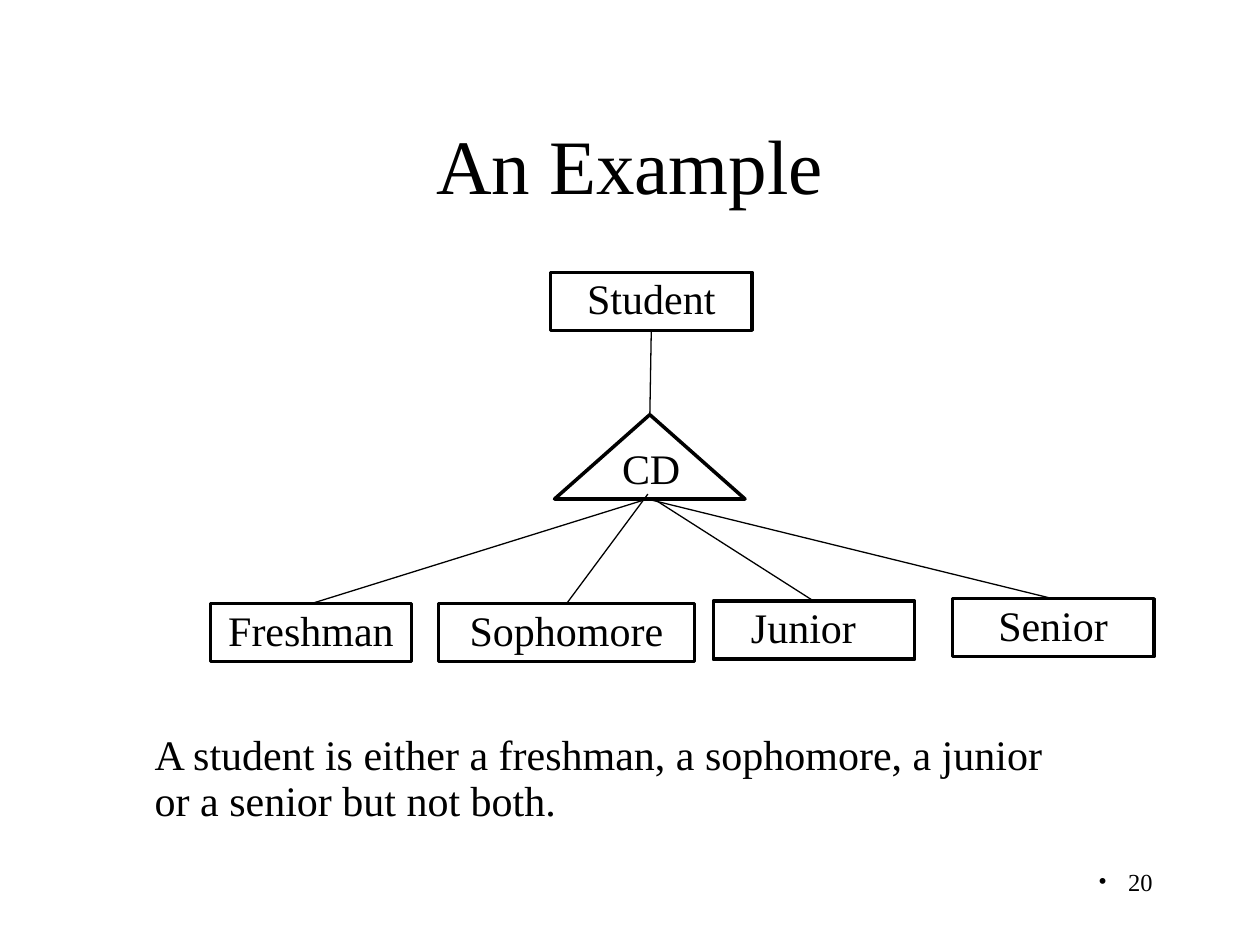
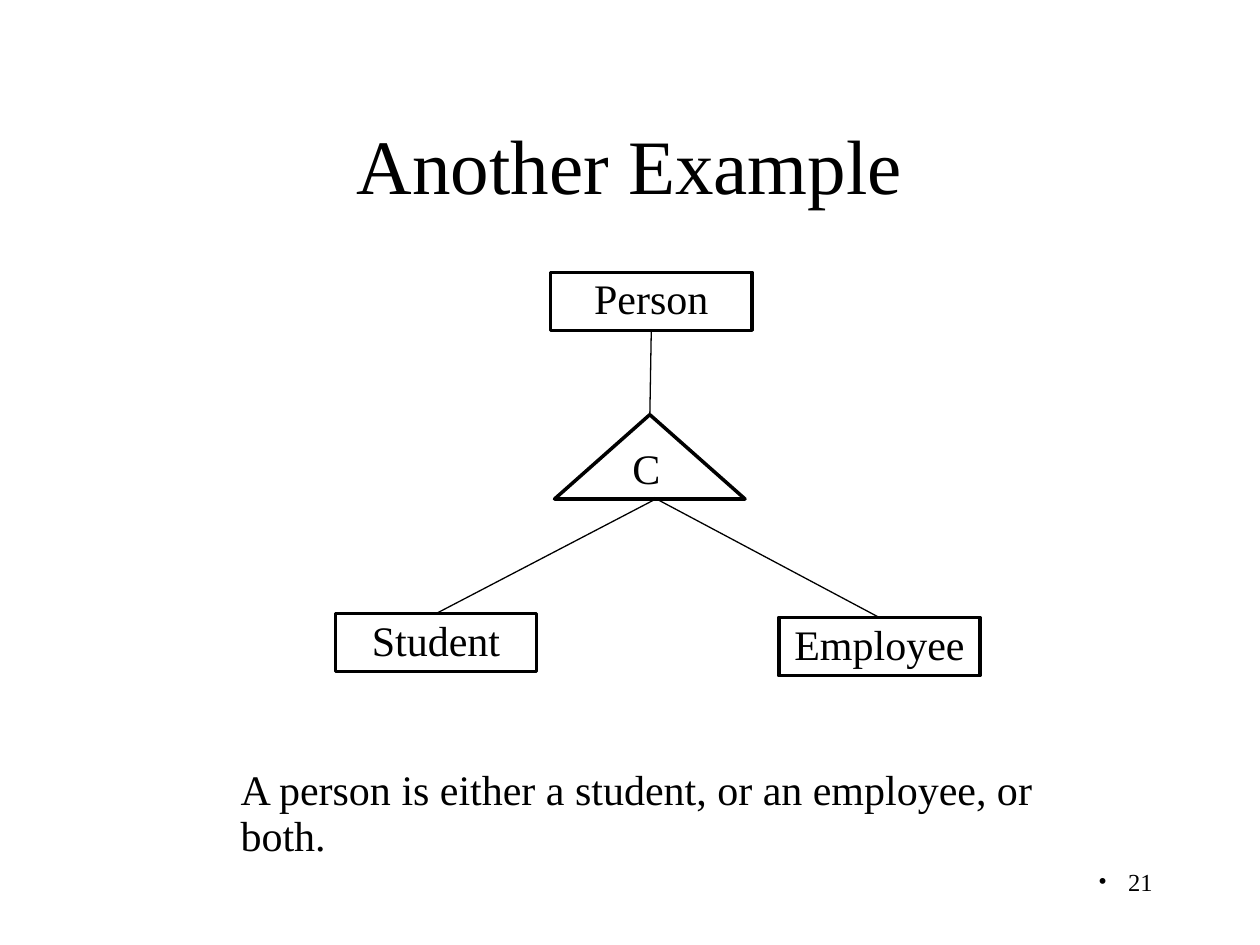
from dataclasses import dataclass

from lxml.etree import SubElement
from pptx import Presentation
from pptx.dml.color import RGBColor
from pptx.enum.shapes import MSO_CONNECTOR as Connector, MSO_SHAPE as Shape
from pptx.enum.text import MSO_ANCHOR as Anchor, MSO_AUTO_SIZE as AutoSize, PP_ALIGN as Align
from pptx.oxml.ns import qn
from pptx.util import Cm, Pt

COLORS = {"ink": "000000", "paper": "FFFFFF"}
FONT = "Times New Roman"
BODY_SIZE = 24
BODY_SPACING = 0.9
TOP, BOTTOM = 0, 2  # connection sites


@dataclass(frozen=True)
class Box:
    left: float
    top: float
    width: float = 4.06
    height: float = 1.17

    def lengths(self) -> tuple:
        return Cm(self.left), Cm(self.top), Cm(self.width), Cm(self.height)


@dataclass(frozen=True)
class Subclass:
    name: str
    box: Box
    branch_start: tuple[float, float]


@dataclass(frozen=True)
class Hierarchy:
    number: int
    title: str
    superclass: str
    constraint: str
    subclasses: tuple[Subclass, ...]
    note: str
    note_box: Box


# Places shared by both slides
TITLE_BOX = Box(1.9, 1.7, 21.59, 3.18)
NUMBER_BOX = Box(18.21, 17.35, 5.28, 1.27)
SUPERCLASS_BOX = Box(11.1, 5.49)
TRIANGLE_BOX = Box(11.18, 8.36, 3.84, 1.7)
CONSTRAINT_BOX = Box(12.29, 8.92, 3.28)

HIERARCHIES = (
    Hierarchy(
        20, "An Example", "Student", "CD",
        (
            Subclass("Freshman", Box(4.24, 12.17), (12.98, 10.08)),
            Subclass("Sophomore", Box(8.84, 12.17, 5.16), (13.06, 9.96)),
            Subclass("Junior\t", Box(14.38, 12.12), (13.26, 10.11)),
            Subclass("Senior", Box(19.2, 12.07), (13.13, 10.08)),
        ),
        "A student is either a freshman, a sophomore, a junior or a senior but not both.",
        Box(2.87, 14.68, 18.72, 2.11),
    ),
    Hierarchy(
        21, "Another Example", "Person", " C",
        (
            Subclass("Student", Box(6.76, 12.37), (13.18, 10.08)),
            Subclass("Employee", Box(15.7, 12.45), (13.18, 10.03)),
        ),
        "A person is either a student, or an employee, or both.",
        Box(4.6, 15.39, 17.02, 2.11),
    ),
)


def color(name: str) -> RGBColor:
    return RGBColor.from_string(COLORS[name])


def write(shape, text: str, *, size: float = BODY_SIZE, align=Align.LEFT,
          anchor=Anchor.TOP, spacing: float = BODY_SPACING):
    """Fill a shape with one formatted paragraph and return it."""
    frame = shape.text_frame
    frame.word_wrap = True
    frame.auto_size = AutoSize.NONE
    frame.vertical_anchor = anchor
    paragraph = frame.paragraphs[0]
    paragraph.alignment = align
    paragraph.line_spacing = spacing
    run = paragraph.add_run()
    run.text = text
    run.font.name = FONT
    run.font.size = Pt(size)
    run.font.color.rgb = color("ink")
    return paragraph


def add_text(slide, box: Box, text: str, **text_format):
    return write(slide.shapes.add_textbox(*box.lengths()), text, **text_format)


def add_outlined(slide, preset, box: Box):
    shape = slide.shapes.add_shape(preset, *box.lengths())
    shape.shadow.inherit = False
    shape.fill.solid()
    shape.fill.fore_color.rgb = color("paper")
    shape.line.color.rgb = color("ink")
    shape.line.width = Pt(2)
    return shape


def add_entity(slide, box: Box, name: str):
    entity = add_outlined(slide, Shape.RECTANGLE, box)
    write(entity, name, align=Align.CENTER)
    return entity


def add_branch(slide, start: tuple[float, float], target):
    """Draw a thin line from a point to the top of the target."""
    x, y = map(Cm, start)
    branch = slide.shapes.add_connector(Connector.STRAIGHT, x, y, x, y)
    branch.end_connect(target, TOP)
    branch.line.color.rgb = color("ink")
    branch.line.width = Pt(0.75)
    SubElement(branch.element.spPr, qn("a:effectLst"))
    return branch


def add_page_number(slide, number: int) -> None:
    paragraph = add_text(slide, NUMBER_BOX, str(number), size=14,
                         align=Align.RIGHT, spacing=1.0)
    properties = paragraph._p.get_or_add_pPr()
    properties.set("marL", str(Cm(0.6)))
    properties.set("indent", str(-Cm(0.6)))
    SubElement(properties, qn("a:buFont"), typeface=FONT)
    SubElement(properties, qn("a:buChar"), char="•")


def add_title(slide, text: str) -> None:
    title = slide.shapes.title
    title.left, title.top, title.width, title.height = TITLE_BOX.lengths()
    write(title, text, size=44, align=Align.CENTER, anchor=Anchor.MIDDLE, spacing=1.0)


def add_hierarchy_slide(presentation, hierarchy: Hierarchy) -> None:
    slide = presentation.slides.add_slide(presentation.slide_layouts[5])
    add_page_number(slide, hierarchy.number)
    add_title(slide, hierarchy.title)

    # Superclass and constraint triangle
    superclass = add_entity(slide, SUPERCLASS_BOX, hierarchy.superclass)
    triangle = add_outlined(slide, Shape.ISOSCELES_TRIANGLE, TRIANGLE_BOX)
    add_text(slide, CONSTRAINT_BOX, hierarchy.constraint)
    stem = add_branch(slide, (SUPERCLASS_BOX.left, SUPERCLASS_BOX.top), triangle)
    stem.begin_connect(superclass, BOTTOM)

    # Subclasses and their branches
    for subclass in hierarchy.subclasses:
        entity = add_entity(slide, subclass.box, subclass.name)
        add_branch(slide, subclass.branch_start, entity)

    add_text(slide, hierarchy.note_box, hierarchy.note)


def main() -> None:
    presentation = Presentation()
    presentation.slide_width = Cm(25.4)
    presentation.slide_height = Cm(19.05)
    for hierarchy in HIERARCHIES:
        add_hierarchy_slide(presentation, hierarchy)
    presentation.save("out.pptx")


if __name__ == "__main__":
    main()
